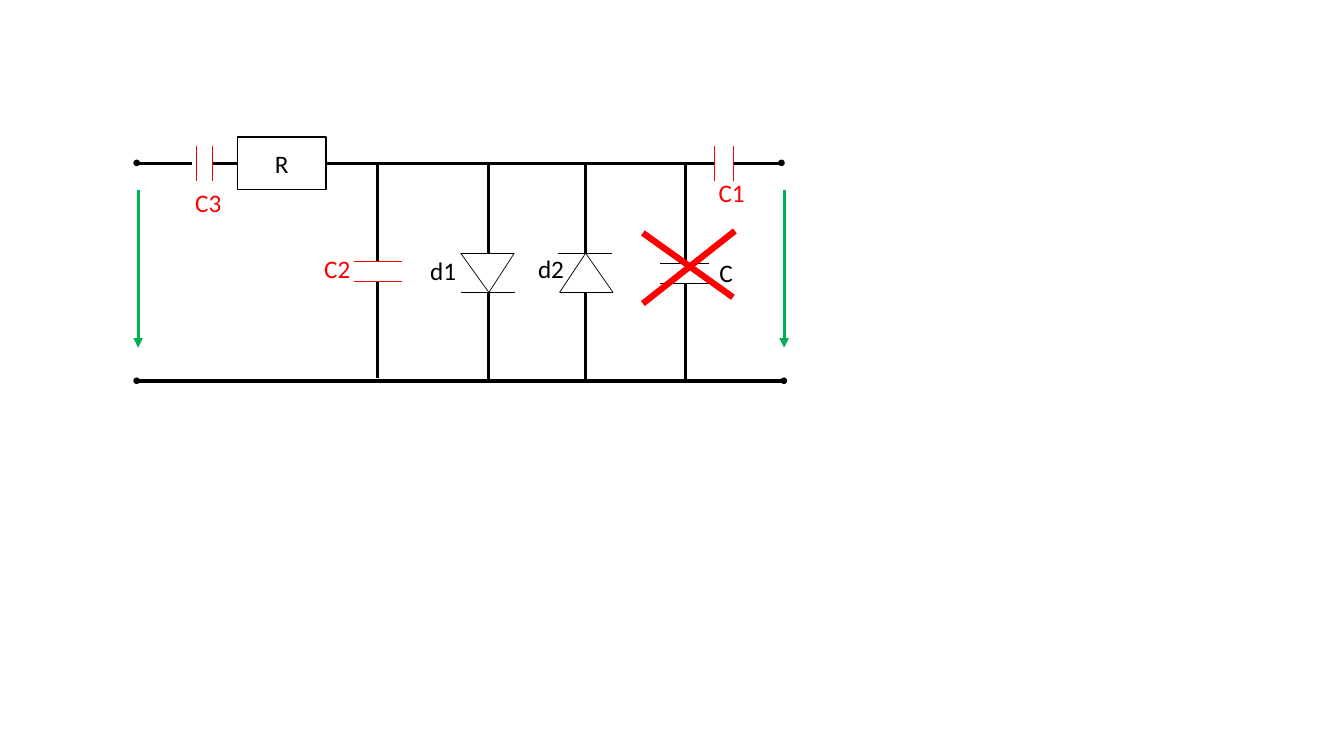
from dataclasses import dataclass

from lxml import etree
from pptx import Presentation
from pptx.dml.color import RGBColor
from pptx.enum.shapes import MSO_CONNECTOR, MSO_SHAPE
from pptx.enum.text import MSO_AUTO_SIZE
from pptx.oxml.ns import qn
from pptx.util import Cm, Pt

STRAIGHT = MSO_CONNECTOR.STRAIGHT
RECTANGLE, OVAL = MSO_SHAPE.RECTANGLE, MSO_SHAPE.OVAL
FIT_TEXT = MSO_AUTO_SIZE.SHAPE_TO_FIT_TEXT

BLACK = RGBColor(0x00, 0x00, 0x00)
RED = RGBColor(0xFF, 0x00, 0x00)
GREEN = RGBColor(0x00, 0xB0, 0x50)

THIN, WIRE, CROSS = 0.5, 2.25, 4.5
TOP_Y, BOTTOM_Y = 4.11, 9.6
DIODE_TOP, DIODE_BOTTOM, DIODE_WIDTH = 6.38, 7.37, 1.35


@dataclass(frozen=True)
class Capacitor:
    left: float
    top: float
    gap: float
    length: float
    upright: bool
    color: RGBColor


@dataclass(frozen=True)
class Diode:
    axis: float
    base_left: float
    bar_left: float
    base_y: float
    apex_y: float


@dataclass(frozen=True)
class Branch:
    x: float
    top: float
    upper_end: float
    lower_start: float
    bottom: float


@dataclass(frozen=True)
class Label:
    text: str
    left: float
    top: float
    width: float
    color: RGBColor


# Horizontal wire segments as (start, end)
TOP_WIRES = [(3.38, 4.85), (5.33, 5.99), (8.23, 12.73), (12.22, 14.73),
             (14.66, 17.48), (17.25, 18.01), (18.49, 19.63)]
BOTTOM_WIRES = [(3.5, 12.42), (12.24, 14.73), (14.68, 17.48), (17.27, 19.76)]

BRANCHES = [
    Branch(9.52, 4.1, 6.58, 7.09, 9.53),
    Branch(12.32, TOP_Y, DIODE_TOP, DIODE_BOTTOM, 9.63),
    Branch(14.76, TOP_Y, DIODE_TOP, DIODE_BOTTOM, 9.63),
    Branch(17.27, TOP_Y, 6.58, 7.14, 9.63),
]
DIODES = [
    Diode(12.32, 11.61, 11.63, DIODE_TOP, DIODE_BOTTOM),
    Diode(14.76, 14.1, 14.07, DIODE_BOTTOM, DIODE_TOP),
]
CAPACITORS = [
    Capacitor(18.01, 3.68, 0.48, 0.88, True, RED),
    Capacitor(8.91, 6.58, 0.51, 1.23, False, RED),
    Capacitor(4.94, 3.67, 0.4, 0.88, True, RED),
    Capacitor(16.64, 6.63, 0.51, 1.24, False, BLACK),
]
LABELS = [
    Label("R", 6.68, 3.61, 0.86, BLACK),
    Label("C1", 17.86, 4.34, 1.17, RED),
    Label("C2", 7.92, 6.25, 1.17, RED),
    Label("C3", 4.67, 4.6, 1.17, RED),
    Label("d1", 10.59, 6.3, 1.17, BLACK),
    Label("d2", 13.31, 6.25, 1.17, BLACK),
    Label("C", 17.88, 6.35, 0.86, BLACK),
]
TERMINALS = [(3.38, 4.04), (19.63, 4.04), (3.38, 9.53), (19.69, 9.53)]
TERMINAL_SIZE = 0.13
VOLTAGE_ARROWS = [3.48, 19.76]
CROSS_STROKES = [(16.2, 5.87, 18.47, 7.49), (16.2, 7.65, 18.52, 5.82)]


def add_line(shapes, x1: float, y1: float, x2: float, y2: float,
             width: float = WIRE, color: RGBColor = BLACK, arrow: bool = False) -> None:
    connector = shapes.add_connector(STRAIGHT, Cm(x1), Cm(y1), Cm(x2), Cm(y2))
    connector.line.width = Pt(width)
    connector.line.color.rgb = color
    properties = connector._element.spPr
    if arrow:
        etree.SubElement(properties.find(qn("a:ln")), qn("a:tailEnd"), type="triangle")
    etree.SubElement(properties, qn("a:effectLst"))


def add_outlined(shapes, kind, left: float, top: float, width: float, height: float,
                 filled: bool) -> None:
    shape = shapes.add_shape(kind, Cm(left), Cm(top), Cm(width), Cm(height))
    shape.shadow.inherit = False
    shape.line.color.rgb = BLACK
    shape.line.width = Pt(1)
    if filled:
        shape.fill.solid()
        shape.fill.fore_color.rgb = BLACK
    else:
        shape.fill.background()


def add_capacitor(shapes, cap: Capacitor) -> None:
    for offset in (0, cap.gap):
        if cap.upright:
            x = cap.left + offset
            ends = (x, cap.top, x, cap.top + cap.length)
        else:
            y = cap.top + offset
            ends = (cap.left, y, cap.left + cap.length, y)
        add_line(shapes, *ends, THIN, cap.color)


def add_diode(shapes, diode: Diode) -> None:
    base_right = diode.base_left + DIODE_WIDTH
    add_line(shapes, diode.base_left, diode.base_y, base_right, diode.base_y, THIN)
    for corner in (diode.base_left, base_right):
        add_line(shapes, corner, diode.base_y, diode.axis, diode.apex_y, THIN)
    add_line(shapes, diode.bar_left, diode.apex_y,
             diode.bar_left + DIODE_WIDTH, diode.apex_y, THIN)


def add_label(shapes, label: Label) -> None:
    box = shapes.add_textbox(Cm(label.left), Cm(label.top), Cm(label.width), Cm(1.02))
    frame = box.text_frame
    frame.word_wrap = False
    frame.auto_size = FIT_TEXT
    run = frame.paragraphs[0].add_run()
    run.text = label.text
    run.font.name = "Calibri"
    run.font.size = Pt(18)
    run.font.color.rgb = label.color


def main() -> None:
    prs = Presentation()
    prs.slide_width, prs.slide_height = Cm(33.87), Cm(19.05)
    shapes = prs.slides.add_slide(prs.slide_layouts[6]).shapes

    # Resistor
    add_outlined(shapes, RECTANGLE, 5.99, 3.45, 2.23, 1.33, filled=False)

    # Wires and branches
    for y, wires in ((TOP_Y, TOP_WIRES), (BOTTOM_Y, BOTTOM_WIRES)):
        for start, end in wires:
            add_line(shapes, start, y, end, y)
    for branch in BRANCHES:
        add_line(shapes, branch.x, branch.top, branch.x, branch.upper_end)
        add_line(shapes, branch.x, branch.lower_start, branch.x, branch.bottom)

    # Components
    for diode in DIODES:
        add_diode(shapes, diode)
    for capacitor in CAPACITORS:
        add_capacitor(shapes, capacitor)

    # Terminals and voltage arrows
    for left, top in TERMINALS:
        add_outlined(shapes, OVAL, left, top, TERMINAL_SIZE, TERMINAL_SIZE, filled=True)
    for x in VOLTAGE_ARROWS:
        add_line(shapes, x, 4.78, x, 8.76, color=GREEN, arrow=True)

    # Labels, then the cross over the removed capacitor
    for label in LABELS:
        add_label(shapes, label)
    for stroke in CROSS_STROKES:
        add_line(shapes, *stroke, CROSS, RED)

    prs.save("out.pptx")


if __name__ == "__main__":
    main()
